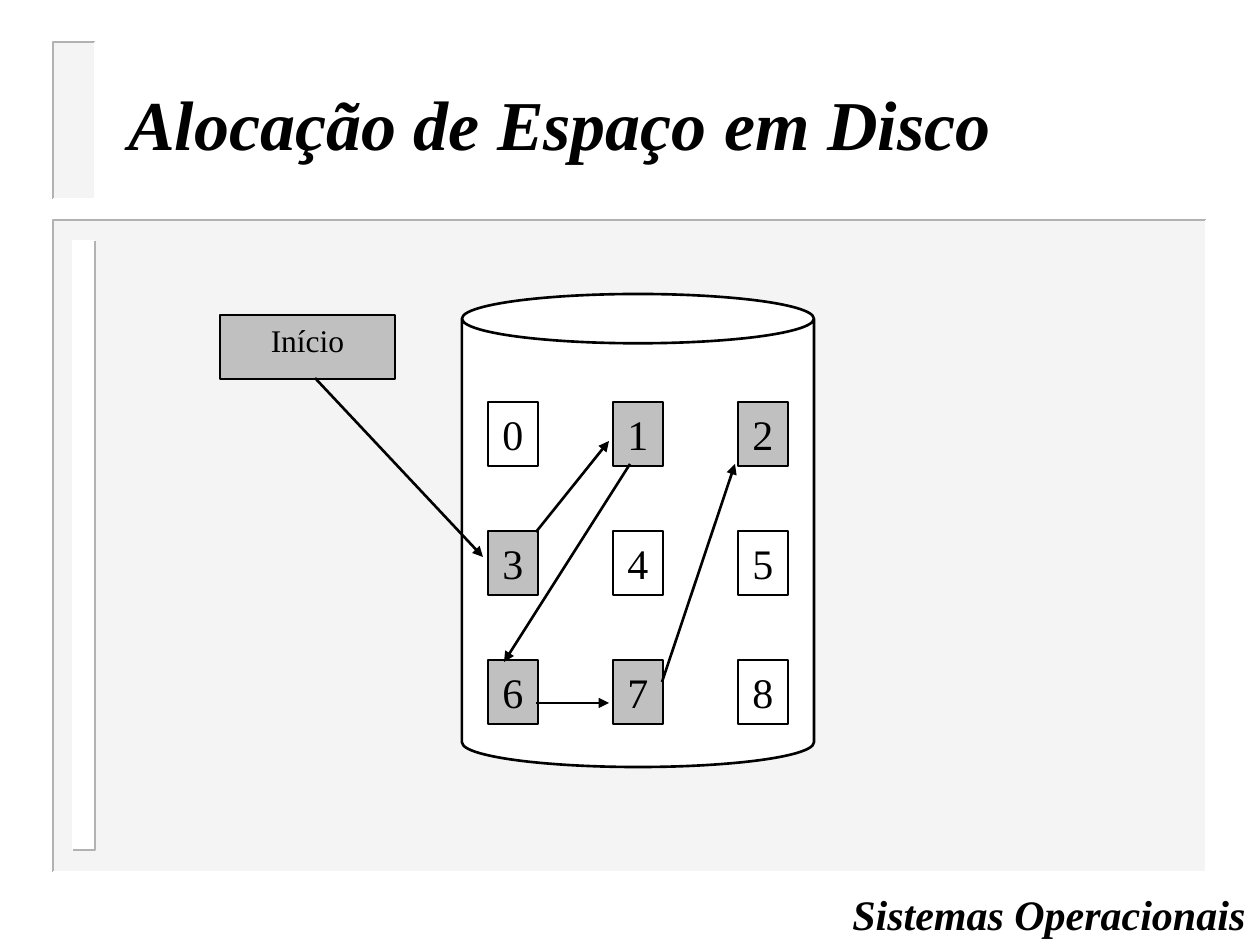
"""Build a slide showing linked allocation of disk blocks."""
from dataclasses import dataclass

from lxml import etree
from pptx import Presentation, util as u
from pptx.dml.color import RGBColor
from pptx.enum import shapes, text
from pptx.oxml.ns import qn

PX_PER_INCH = 126
FONT = "Times New Roman"
BLACK = RGBColor(0x00, 0x00, 0x00)
WHITE = RGBColor(0xFF, 0xFF, 0xFF)
PALE = RGBColor(0xEA, 0xEA, 0xEA)
SHADE = RGBColor(0xB2, 0xB2, 0xB2)
USED = RGBColor(0xC0, 0xC0, 0xC0)


@dataclass(frozen=True)
class Box:
    left: int
    top: int
    width: int
    height: int


@dataclass(frozen=True)
class Panel:
    box: Box
    fill: RGBColor
    opacity: int
    top_left: RGBColor
    bottom_right: RGBColor


@dataclass(frozen=True)
class Block:
    label: str
    box: Box
    fill: RGBColor
    size: int
    side_inset: int


@dataclass(frozen=True)
class Pointer:
    start: tuple[int, int]
    end: tuple[int, int]


PANELS = [
    Panel(Box(53, 220, 1153, 652), PALE, 50, SHADE, WHITE),
    Panel(Box(73, 241, 22, 609), WHITE, 100, WHITE, SHADE),
    Panel(Box(53, 42, 42, 157), PALE, 50, SHADE, WHITE),
]
DISK = Box(462, 294, 352, 473)
FILE_BLOCKS = {3, 1, 6, 7, 2}
BLOCKS = [
    Block(str(n), Box(488 + 125 * (n % 3), 402 + 129 * (n // 3), 50, 64),
          USED if n in FILE_BLOCKS else WHITE, 24, 0)
    for n in range(9)
]
START = Block("Início", Box(220, 315, 175, 64), USED, 18, 13)
POINTERS = [
    Pointer((315, 378), (483, 557)),
    Pointer((536, 532), (609, 441)),
    Pointer((630, 464), (504, 662)),
    Pointer((536, 703), (609, 703)),
    Pointer((662, 682), (735, 464)),
]


def px(length: int) -> int:
    """Turn pixels into EMU."""
    return u.Inches(length / PX_PER_INCH)


def place(box: Box) -> tuple[int, ...]:
    """Give the box's left, top, width and height in EMU."""
    return tuple(px(n) for n in (box.left, box.top, box.width, box.height))


def add_solid(slide, kind, box: Box, fill: RGBColor):
    """Add a filled preset shape without a shadow."""
    solid = slide.shapes.add_shape(kind, *place(box))
    solid.shadow.inherit = False
    solid.fill.solid()
    solid.fill.fore_color.rgb = fill
    return solid


def set_line(line, color: RGBColor, points: float) -> None:
    """Set a line's colour and width."""
    line.color.rgb = color
    line.width = u.Pt(points)


def style_text(frame, words: str, size: int, bold_italic: bool = False) -> None:
    """Write one black paragraph."""
    paragraph = frame.paragraphs[0]
    paragraph.text = words
    font = paragraph.font
    font.name, font.size, font.color.rgb = FONT, u.Pt(size), BLACK
    font.bold = font.italic = bold_italic


def draw_edge(slide, points: list[tuple[int, int]], color: RGBColor) -> None:
    """Draw an open edge through the points."""
    start, *rest = [(px(x), px(y)) for x, y in points]
    builder = slide.shapes.build_freeform(*start)
    builder.add_line_segments(rest, close=False)
    edge = builder.convert_to_shape()
    edge.shadow.inherit = False
    edge.fill.background()
    set_line(edge.line, color, 1)


def draw_panel(slide, panel: Panel) -> None:
    """Draw a panel with two bevelled edges."""
    box = panel.box
    face = add_solid(slide, shapes.MSO_SHAPE.RECTANGLE, box, panel.fill)
    face.line.fill.background()
    if panel.opacity < 100:
        color = face.fill._xPr.find(qn("a:solidFill"))[0]
        etree.SubElement(color, qn("a:alpha"), val=str(panel.opacity * 1000))
    right, bottom = box.left + box.width, box.top + box.height
    ends = (right, box.top), (box.left, bottom)
    draw_edge(slide, [ends[0], (box.left, box.top), ends[1]], panel.top_left)
    draw_edge(slide, [ends[0], (right, bottom), ends[1]], panel.bottom_right)


def draw_block(slide, block: Block) -> None:
    """Draw a labelled block."""
    cell = add_solid(slide, shapes.MSO_SHAPE.RECTANGLE, block.box, block.fill)
    set_line(cell.line, BLACK, 1.5)
    frame = cell.text_frame
    frame.vertical_anchor = text.MSO_ANCHOR.TOP
    frame.margin_left = frame.margin_right = px(block.side_inset)
    style_text(frame, block.label, block.size)
    frame.paragraphs[0].alignment = text.PP_ALIGN.CENTER


def draw_pointer(slide, pointer: Pointer) -> None:
    """Draw an arrow from one block to the next."""
    ends = (px(n) for n in pointer.start + pointer.end)
    arrow = slide.shapes.add_connector(shapes.MSO_CONNECTOR.STRAIGHT, *ends)
    set_line(arrow.line, BLACK, 1.5)
    etree.SubElement(arrow.line._get_or_add_ln(), qn("a:tailEnd"), type="triangle")
    etree.SubElement(arrow._element.spPr, qn("a:effectLst"))


def draw_heading(slide, box: Box, words: str, size: int, wrap: bool, anchor) -> None:
    """Draw a bold italic text box."""
    frame = slide.shapes.add_textbox(*place(box)).text_frame
    frame.word_wrap = wrap
    frame.vertical_anchor = anchor
    style_text(frame, words, size, bold_italic=True)


def main() -> None:
    """Build and save the slide."""
    deck = Presentation()
    deck.slide_width, deck.slide_height = px(1260), px(945)
    slide = deck.slides.add_slide(deck.slide_layouts[6])
    for panel in PANELS:
        draw_panel(slide, panel)
    draw_heading(slide, Box(116, 47, 1071, 152), "Alocação de Espaço em Disco",
                 40, True, text.MSO_ANCHOR.MIDDLE)
    draw_heading(slide, Box(840, 882, 418, 63), "Sistemas Operacionais",
                 24, False, text.MSO_ANCHOR.TOP)
    disk = add_solid(slide, shapes.MSO_SHAPE.CAN, DISK, WHITE)
    disk.adjustments[0] = 0.14
    set_line(disk.line, BLACK, 1.5)
    for block in [*BLOCKS, START]:
        draw_block(slide, block)
    for pointer in POINTERS:
        draw_pointer(slide, pointer)
    deck.save("out.pptx")


if __name__ == "__main__":
    main()
